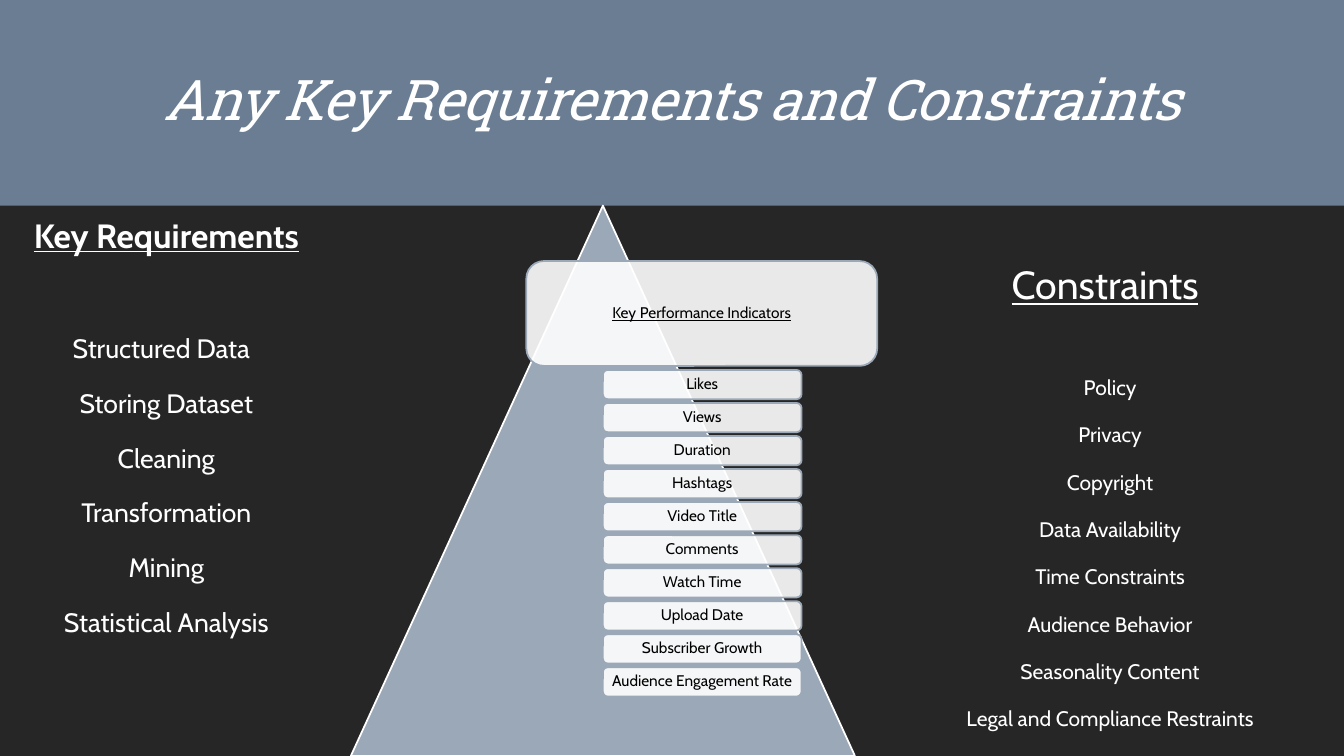
from lxml import etree
from pptx import Presentation
from pptx import util as u
from pptx.dml import color
from pptx.enum import shapes, text
from pptx.oxml import ns

WHITE, BLACK, DARK = "FFFFFF", "000000", "262626"
SLATE, MIST = "6A7D93", "9BA8B7"
REQUIREMENTS = ["Structured Data", "Storing Dataset", "Cleaning",
                "Transformation", "Mining", "Statistical Analysis"]
CONSTRAINTS = ["Policy", "Privacy", "Copyright", "Data Availability",
               "Time Constraints", "Audience Behavior", "Seasonality Content",
               "Legal and Compliance Restraints"]
INDICATORS = ["Likes", "Views", "Duration", "Hashtags", "Video Title",
              "Comments", "Watch Time", "Upload Date", "Subscriber Growth",
              "Audience Engagement Rate"]


def paint(fill, hex_color, opacity=100):
    """Make a fill solid, optionally see-through."""
    fill.solid()
    fill.fore_color.rgb = color.RGBColor.from_string(hex_color)
    if opacity < 100:
        solid = fill._xPr.find(ns.qn("a:solidFill"))
        alpha = etree.SubElement(solid[0], ns.qn("a:alpha"))
        alpha.set("val", str(opacity * 1000))


def place(item, left, top, width, height):
    """Position and size a placeholder."""
    item.left, item.top = u.Inches(left), u.Inches(top)
    item.width, item.height = u.Inches(width), u.Inches(height)


def write(frame, words, size, font="Cabin", hex_color=WHITE, bold=False,
          italic=False, underline=False, leading=0.9, before=0, after=0,
          indent=0, tracking=0):
    """Put a centred paragraph in the frame, using its first one if empty."""
    paragraph = frame.paragraphs[0] if not frame.text else frame.add_paragraph()
    paragraph.alignment = text.PP_ALIGN.CENTER
    paragraph.line_spacing = leading
    paragraph.space_before, paragraph.space_after = u.Pt(before), u.Pt(after)
    properties = paragraph._p.get_or_add_pPr()
    properties.set("marL", str(u.Inches(indent)))
    properties.set("indent", "0")
    run = paragraph.add_run()
    run.text = words
    run.font.size, run.font.name = u.Pt(size), font
    run.font.bold, run.font.italic, run.font.underline = bold, italic, underline
    paint(run.font.fill, hex_color)
    if tracking:
        run._r.get_or_add_rPr().set("spc", str(round(tracking * 100)))


def add_title(slide, words):
    """Turn the title placeholder into the band across the top."""
    title = slide.shapes.title
    place(title, 0, 0, 13.33, 2.04)
    paint(title.fill, SLATE)
    frame = title.text_frame
    frame.auto_size = text.MSO_AUTO_SIZE.NONE
    frame.vertical_anchor = text.MSO_ANCHOR.MIDDLE
    write(frame, words, 40, font="Roboto Slab", italic=True, tracking=-0.5)


def add_column(slide, left, top, width, height):
    """Add an empty text column without side margins."""
    frame = slide.shapes.add_textbox(*map(u.Inches, (left, top, width, height))).text_frame
    frame.word_wrap = True
    frame.margin_left = frame.margin_right = 0
    return frame


def add_items(frame, items, size, heading_gap, first_indent=0.1):
    """List items below a heading, the first one set further down."""
    for index, item in enumerate(items):
        write(frame, item, size, leading=1.1, after=2,
              before=12 if index else heading_gap,
              indent=0.1 if index else first_indent)


def add_outlined(diagram, kind, box, fill, line, opacity=100):
    """Add a filled, outlined shape to the diagram."""
    shape = diagram.shapes.add_shape(kind, *map(u.Inches, box))
    shape.shadow.inherit = False
    paint(shape.fill, fill, opacity)
    paint(shape.line.fill, line)
    shape.line.width = u.Pt(1.25)
    return shape


def add_card(diagram, words, box, underline=False):
    """Add a translucent rounded card with its label."""
    card = add_outlined(diagram, shapes.MSO_SHAPE.ROUNDED_RECTANGLE, box,
                        WHITE, MIST, opacity=90)
    frame = card.text_frame
    frame.word_wrap = True
    frame.vertical_anchor = text.MSO_ANCHOR.MIDDLE
    frame.margin_left = frame.margin_right = u.Inches(0.03)
    frame.margin_top = frame.margin_bottom = 0
    write(frame, words, 11, hex_color=BLACK, underline=underline)


def add_pyramid(slide):
    """Draw the triangle with the indicator cards stacked over it."""
    pyramid = slide.shapes.add_group_shape()
    add_outlined(pyramid, shapes.MSO_SHAPE.ISOSCELES_TRIANGLE,
                 (3.48, 2.04, 5, 5.46), MIST, WHITE)
    add_card(pyramid, "Key Performance Indicators", (5.22, 2.59, 3.48, 1.04),
             underline=True)
    first_top, last_top = 3.67, 6.62
    pitch = (last_top - first_top) / (len(INDICATORS) - 1)
    for row, indicator in enumerate(INDICATORS):
        add_card(pyramid, indicator, (5.98, first_top + row * pitch, 1.97, 0.29))


def main():
    """Build and save the slide."""
    deck = Presentation()
    deck.slide_width, deck.slide_height = u.Inches(13.33), u.Inches(7.5)
    slide = deck.slides.add_slide(deck.slide_layouts[5])
    paint(slide.background.fill, DARK)
    add_title(slide, "Any Key Requirements and Constraints")

    requirements = add_column(slide, 0, 2.04, 3.2, 5.46)
    write(requirements, "Key Requirements", 24, bold=True, underline=True,
          leading=1.1, after=2, indent=0.1)
    add_items(requirements, REQUIREMENTS, 19, heading_gap=51, first_indent=0)

    constraints = add_column(slide, 8.59, 2.49, 4.74, 5.01)
    write(constraints, "Constraints", 28, underline=True, leading=1.1, after=2)
    add_items(constraints, CONSTRAINTS, 15, heading_gap=44)

    add_pyramid(slide)
    deck.save("out.pptx")


if __name__ == "__main__":
    main()
